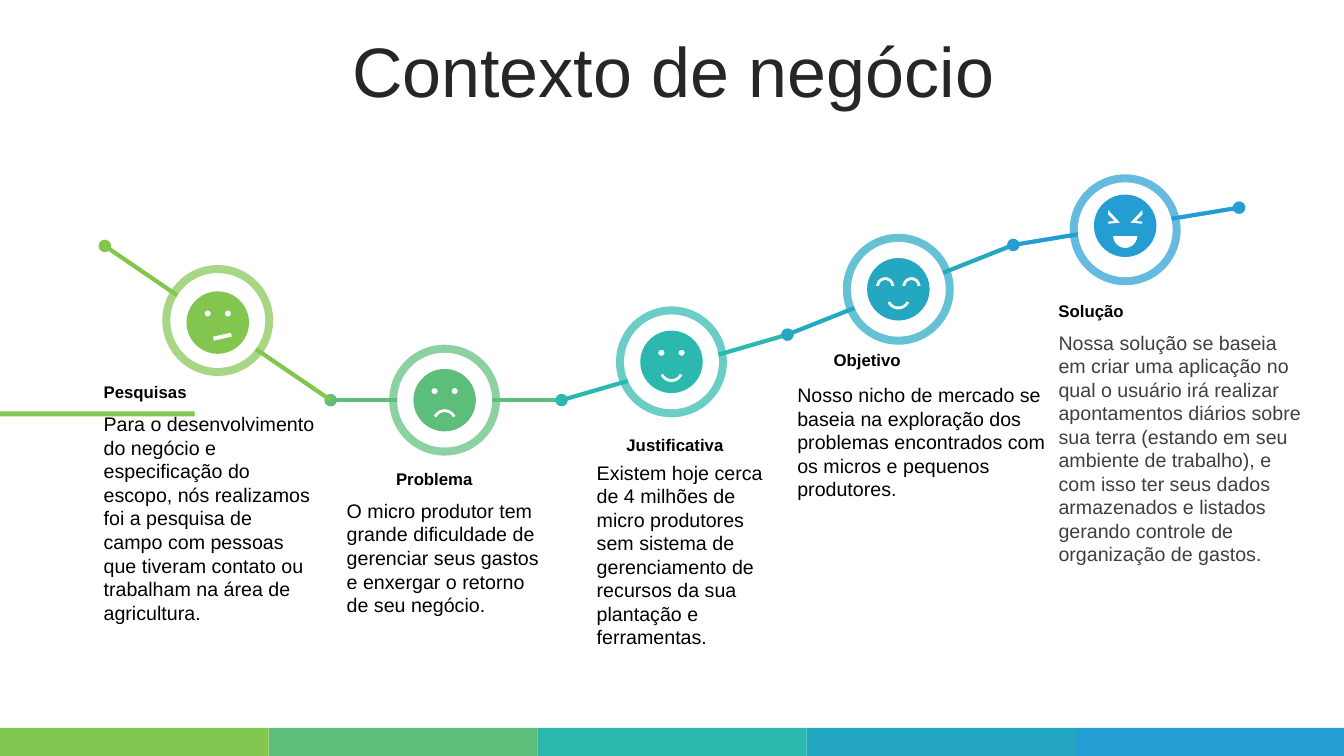
import itertools
import math
import pptx
import pptx.dml.color
import pptx.enum.shapes
import pptx.enum.text
import pptx.oxml.ns
import pptx.util
import lxml.etree

Inches = pptx.util.Inches
Pt = pptx.util.Pt
RGB = pptx.dml.color.RGBColor.from_string
SHAPE = pptx.enum.shapes.MSO_SHAPE
ALIGN = pptx.enum.text.PP_ALIGN
AUTO = pptx.enum.text.MSO_AUTO_SIZE
qn = pptx.oxml.ns.qn

W, H = 13.33, 7.5
COLORS = {
    "pesquisas": "82C650", "problema": "5CBE7A", "justificativa": "2CB8AE",
    "objetivo": "24A8C2", "solucao": "249ED2",
    "white": "FFFFFF", "title": "262626", "black": "000000", "gray": "3F3F3F",
}
STAGES = ["pesquisas", "problema", "justificativa", "objetivo", "solucao"]


def paint(sp, color):
    sp.shadow.inherit = False
    sp.fill.solid()
    sp.fill.fore_color.rgb = RGB(COLORS[color])
    sp.line.fill.background()
    return sp


def arc(cx, cy, r, start=0, end=360):
    steps = 36
    angles = [math.radians(start + (end - start) * k / steps) for k in range(steps + 1)]
    return [(cx + r * math.cos(a), cy + r * math.sin(a)) for a in angles]


prs = pptx.Presentation()
prs.slide_width, prs.slide_height = Inches(W), Inches(H)
s = prs.slides.add_slide(prs.slide_layouts[5])

title = s.shapes.title
title.left, title.top, title.width, title.height = map(Inches, (0.35, 0.37, 12.66, 0.79))
tf = title.text_frame
tf.auto_size = AUTO.NONE
tf.vertical_anchor = pptx.enum.text.MSO_ANCHOR.MIDDLE
p = tf.paragraphs[0]
p.alignment = ALIGN.CENTER
p.line_spacing = 0.8
r = p.add_run()
r.text = "Contexto de negócio"
r.font.name, r.font.size = "Arial", Pt(50)
r.font.color.rgb = RGB(COLORS["title"])

for i, stage in enumerate(STAGES):
    paint(s.shapes.add_shape(SHAPE.RECTANGLE, Inches(i * W / 5), Inches(7.22),
                             Inches(W / 5), Inches(0.28)), stage)
paint(s.shapes.add_shape(SHAPE.RECTANGLE, 0, Inches(4.08), Inches(1.93), Inches(0.05)),
      "pesquisas")

joints = [(1.04, 2.44), (3.28, 3.97), (5.57, 3.97), (7.81, 3.32), (10.05, 2.43), (12.29, 2.06)]
segments = list(zip(STAGES, itertools.pairwise(joints)))
for stage, (a, b) in segments[1:] + segments[:1]:
    line = s.shapes.add_connector(pptx.enum.shapes.MSO_CONNECTOR.STRAIGHT,
                                  *map(Inches, a + b))
    line.line.color.rgb = RGB(COLORS[stage])
    line.line.width = Pt(3)
    ln = line.line._get_or_add_ln()
    lxml.etree.SubElement(ln, qn("a:headEnd"), type="oval")
    if stage == STAGES[-1]:
        lxml.etree.SubElement(ln, qn("a:tailEnd"), type="oval")
    lxml.etree.SubElement(line.element.spPr, qn("a:effectLst"))

dots = [arc(x, -0.09, 0.03) for x in (-0.1, 0.1)]
smile = arc(0, 0.08, 0.12, 25, 155) + arc(0, 0.08, 0.09, 155, 25)
frown = arc(0, 0.21, 0.12, 205, 335) + arc(0, 0.21, 0.09, 335, 205)
slant = [(0.13, 0.1), (-0.05, 0.14), (-0.04, 0.18), (0.14, 0.14)]
happy_eyes = [arc(x, -0.03, 0.09, 180, 360) + arc(x, -0.03, 0.06, 360, 180)
              for x in (-0.13, 0.13)]
squint = [(0.17, -0.16), (0.05, -0.03), (0.17, -0.02), (0.17, -0.04), (0.11, -0.05), (0.17, -0.11)]
squint_eyes = [[(side * x, y) for x, y in squint] for side in (-1, 1)]
laugh = arc(0, 0.1, 0.12, 0, 180)

faces = [
    (3.18, 3.2, dots + [slant]),
    (3.97, 3.97, dots + [frown]),
    (3.59, 3.59, dots + [smile]),
    (2.87, 2.87, happy_eyes + [smile]),
    (2.28, 2.24, squint_eyes + [laugh]),
]
for i, (stage, (ring_y, face_y, features)) in enumerate(zip(STAGES, faces)):
    x = 2.16 + 2.25 * i
    for size, color in ((1.1, stage), (0.94, "white")):
        disc = paint(s.shapes.add_shape(SHAPE.OVAL, Inches(x - size / 2), Inches(ring_y - size / 2),
                                        Inches(size), Inches(size)), color)
        if color == stage:
            clr = disc.element.spPr.find(".//" + qn("a:srgbClr"))
            lxml.etree.SubElement(clr, qn("a:alpha"), val="70000")
    contours = [[(Inches(x + dx), Inches(face_y + dy)) for dx, dy in contour]
                for contour in [arc(0, 0, 0.31)] + features]
    fb = s.shapes.build_freeform(*contours[0][0])
    for contour in contours:
        if contour is not contours[0]:
            fb.move_to(*contour[0])
        fb.add_line_segments(contour[1:], close=True)
    paint(fb.convert_to_shape(), stage)

texts = [
    ((0.93, 3.74, 1.64, 0.3), "Pesquisas", (0.93, 4.04, 2.3, 2.61), "black",
     ["Para o desenvolvimento do negócio e especificação do escopo, nós realizamos  foi a "
      "pesquisa de campo com pessoas que tiveram contato ou trabalham na área de agricultura."]),
    ((3.83, 4.6, 1.53, 0.3), "Problema", (3.34, 4.9, 2.15, 1.33), "black",
     ["O micro produtor tem grande dificuldade de gerenciar seus gastos e enxergar o retorno "
      "de seu negócio."]),
    ((5.28, 4.26, 2.83, 0.3), "Justificativa", (5.82, 4.52, 1.98, 1.92), "black",
     ["Existem hoje cerca de 4 milhões de micro produtores sem sistema de gerenciamento de",
      "recursos da sua plantação e ferramentas."]),
    ((8.17, 3.42, 1.53, 0.3), "Objetivo", (7.81, 3.75, 2.83, 1.31), "black",
     ["Nosso nicho de mercado se baseia na exploração dos",
      "problemas encontrados com os micros e pequenos",
      "produtores."]),
    ((10.4, 2.93, 1.77, 0.3), "Solução", (10.4, 3.23, 2.61, 2.65), "gray",
     ["Nossa solução se baseia em criar uma aplicação no qual o usuário irá realizar "
      "apontamentos diários sobre sua terra (estando em seu ambiente de trabalho), e com isso "
      "ter seus dados armazenados e listados gerando controle de organização de gastos."]),
]
for head_box, head, body_box, body_color, body in texts:
    for box, lines, size, bold, color in ((head_box, [head], 12, True, "black"),
                                          (body_box, body, 14, False, body_color)):
        tf = s.shapes.add_textbox(*map(Inches, box)).text_frame
        tf.word_wrap = True
        tf.auto_size = AUTO.SHAPE_TO_FIT_TEXT
        for k, text in enumerate(lines):
            p = tf.add_paragraph() if k else tf.paragraphs[0]
            p.alignment = ALIGN.CENTER if text == "Justificativa" else ALIGN.LEFT
            r = p.add_run()
            r.text = text
            r.font.name, r.font.size, r.font.bold = "Arial", Pt(size), bold
            r.font.color.rgb = RGB(COLORS[color])

prs.save("out.pptx")
